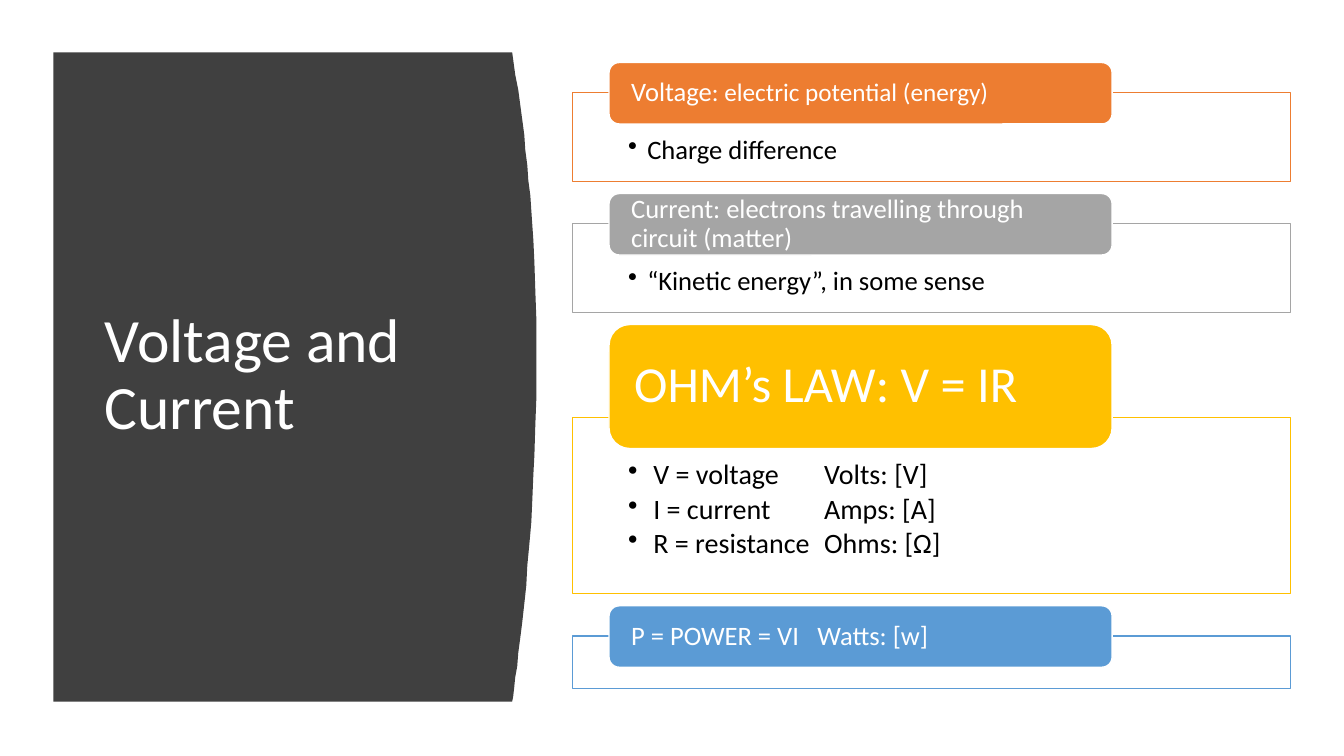
from lxml import etree
from pptx import Presentation
from pptx.dml.color import RGBColor
from pptx.enum.shapes import MSO_SHAPE
from pptx.enum.text import MSO_ANCHOR, PP_ALIGN
from pptx.oxml.ns import qn
from pptx.util import Pt

RECTANGLE = MSO_SHAPE.RECTANGLE
ROUNDED = MSO_SHAPE.ROUNDED_RECTANGLE
TOP = MSO_ANCHOR.TOP
MIDDLE = MSO_ANCHOR.MIDDLE
LEFT = PP_ALIGN.LEFT

EMU_PER_PX = 9144
FONT = "Calibri"
WHITE = RGBColor(0xFF, 0xFF, 0xFF)
BLACK = RGBColor(0x00, 0x00, 0x00)
CHARCOAL = RGBColor(0x40, 0x40, 0x40)
ORANGE = RGBColor(0xED, 0x7D, 0x31)
GRAY = RGBColor(0xA5, 0xA5, 0xA5)
GOLD = RGBColor(0xFF, 0xC0, 0x00)
BLUE = RGBColor(0x5B, 0x9B, 0xD5)

PANEL_OUTLINE = [
    (53, 52), (508, 52), (511, 74), (514, 89), (516, 104), (518, 119),
    (520, 134), (521, 149), (523, 164), (524, 179), (526, 194), (527, 209),
    (528, 224), (529, 238), (530, 260), (531, 290), (532, 318), (532, 394),
    (531, 420), (530, 452), (529, 471), (528, 495), (527, 518), (525, 540),
    (523, 561), (522, 581), (520, 599), (518, 617), (516, 633), (514, 648),
    (513, 661), (511, 672), (510, 682), (509, 691), (508, 696), (53, 696),
]

STACK_TOP = 62
STACK_GAP = 12
OVERLAP = 31
SECTIONS = [
    (ORANGE, 61, [("Voltage", 19), (": electric potential (energy)", 18)],
     88, ["Charge difference"], 19, 19),
    (GRAY, 61, [("Current: electrons travelling through circuit (matter)", 19)],
     88, ["“Kinetic energy”, in some sense"], 19, 19),
    (GOLD, 123, [("OHM’s LAW: V = IR", 36)], 175,
     ["V = voltage\tVolts: [V]", "I = current\tAmps: [A]",
      "R = resistance\tOhms: [Ω]"], 20, 25),
    (BLUE, 61, [("P = POWER = VI\tWatts: [w]", 19)], 52, [], 19, 19),
]


def px(length):
    return length * EMU_PER_PX


def set_frame(shape, anchor, left, top, right, bottom):
    frame = shape.text_frame
    frame.word_wrap = True
    frame.vertical_anchor = anchor
    frame.margin_left, frame.margin_right = px(left), px(right)
    frame.margin_top, frame.margin_bottom = px(top), px(bottom)
    return frame


def style_paragraph(para, size, color):
    para.alignment = LEFT
    para.line_spacing = 0.9
    para.font.name = FONT
    para.font.size = Pt(size)
    para.font.color.rgb = color


def set_tab_size(para, size):
    para._p.get_or_add_pPr().set("defTabSz", str(size * 44450))


def add_bullet(para, indent):
    properties = para._p.get_or_add_pPr()
    properties.set("marL", str(px(indent)))
    properties.set("indent", str(-px(indent)))
    etree.SubElement(properties, qn("a:buChar")).set("char", "•")


def add_panel(page):
    builder = page.shapes.build_freeform(*PANEL_OUTLINE[0], scale=EMU_PER_PX)
    builder.add_line_segments(PANEL_OUTLINE[1:], close=True)
    panel = builder.convert_to_shape()
    panel.shadow.inherit = False
    panel.fill.solid()
    panel.fill.fore_color.rgb = CHARCOAL
    panel.line.fill.background()


def add_title(page, text):
    box = page.shapes.add_textbox(px(94), px(111), px(374), px(524))
    para = set_frame(box, MIDDLE, 10, 5, 10, 5).paragraphs[0]
    para.text = text
    style_paragraph(para, 44, WHITE)


def add_block(page, kind, left, top, width, height, fill, line):
    block = page.shapes.add_shape(kind, px(left), px(top), px(width), px(height))
    block.shadow.inherit = False
    block.fill.solid()
    block.fill.fore_color.rgb = fill
    block.line.color.rgb = line
    block.line.width = Pt(1)
    return block


def add_details(page, top, height, color, lines, size, indent):
    block = add_block(page, RECTANGLE, 568, top, 712, height, WHITE, color)
    shade = block.element.spPr.find(qn("a:solidFill"))[0]
    etree.SubElement(shade, qn("a:alpha")).set("val", "90000")
    if not lines:
        return
    frame = set_frame(block, TOP, 55, 43, 55, 15)
    frame.text = "\n".join(lines)
    for para in frame.paragraphs:
        para.level = 1
        style_paragraph(para, size, BLACK)
        para.space_after = Pt(3)
        set_tab_size(para, size)
        add_bullet(para, indent)


def add_heading(page, top, height, color, spans):
    block = add_block(page, ROUNDED, 604, top, 499, height, color, WHITE)
    para = set_frame(block, MIDDLE, 19, 0, 19, 0).paragraphs[0]
    size = spans[0][1]
    style_paragraph(para, size, WHITE)
    set_tab_size(para, size)
    for text, span_size in spans:
        span = para.add_run()
        span.text = text
        if span_size != size:
            span.font.size = Pt(span_size)


def main():
    deck = Presentation()
    deck.slide_width, deck.slide_height = px(1333), px(750)
    page = deck.slides.add_slide(deck.slide_layouts[6])
    add_panel(page)
    add_title(page, "Voltage and Current")
    top = STACK_TOP
    for color, head, spans, body, lines, size, indent in SECTIONS:
        body_top = top + head - OVERLAP
        add_details(page, body_top, body, color, lines, size, indent)
        add_heading(page, top, head, color, spans)
        top = body_top + body + STACK_GAP
    deck.save("out.pptx")


if __name__ == "__main__":
    main()
